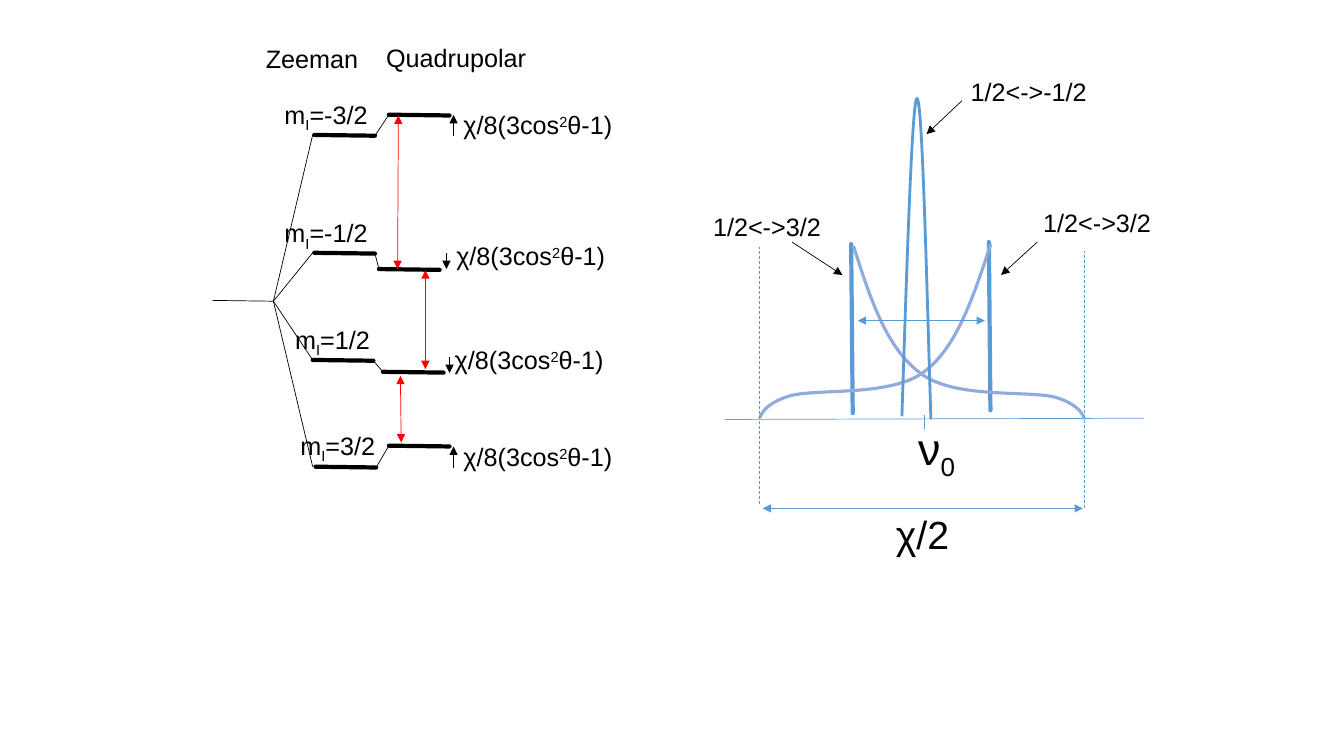
from pptx import Presentation
from pptx.dml.color import RGBColor
from pptx.enum.dml import MSO_LINE
from pptx.enum.shapes import MSO_CONNECTOR
from pptx.enum.text import MSO_AUTO_SIZE
from pptx.oxml.ns import qn
from pptx.util import Cm, Pt
from lxml.etree import SubElement

BLACK, RED, BLUE, PALE_BLUE = "000000", "FF0000", "5B9BD5", "8FAADC"
ORIGIN = (6.89, 7.59)       # where the unsplit level fans out
BAR_LENGTH, BAR_DROP = 1.53, 0.02

# spin, label position, Zeeman bar start, quadrupolar bar start, shift arrow, shift text position
LEVELS = [
    ("-3/2", (6.92, 2.38), (7.92, 3.4), (9.8, 2.89), (11.43, 3.43, 2.9), (11.43, 2.64)),
    ("-1/2", (6.92, 5.36), (7.92, 6.37), (9.55, 6.78), (11.25, 6.38, 6.78), (11.25, 5.94)),
    ("1/2", (7.19, 8.05), (7.88, 9.07), (9.65, 9.37), (11.33, 8.99, 9.4), (11.21, 8.56)),
    ("3/2", (7.32, 10.72), (7.95, 11.76), (9.8, 11.23), (11.43, 11.79, 11.25), (11.43, 11)),
]
TRANSITIONS = [
    ((10.02, 6.78), (10.04, 2.91)),
    ((10.72, 9.3), (10.72, 6.81)),
    ((10.11, 11.15), (10.09, 9.47)),
]
# Bezier chains: a start point, then three points for each segment
POWDER_CURVES = [
    [(21.51, 6.2), (21.92, 7.49), (22.33, 8.76), (23.19, 9.4), (24.03, 10.06),
     (25.88, 9.83), (26.59, 10.01), (27.28, 10.21), (27.33, 10.57), (27.33, 10.57)],
    [(24.97, 6.15), (24.54, 7.44), (24.13, 8.74), (23.29, 9.37), (22.45, 10.01),
     (20.57, 9.78), (19.89, 9.98), (19.2, 10.19), (19.15, 10.54), (19.15, 10.54)],
]
CENTRAL_PEAK = [(22.73, 10.49), (22.86, 6.48), (22.99, 2.48), (23.11, 2.48),
                (23.24, 2.48), (23.34, 6.53), (23.46, 10.57)]
# text, text position, arrow start, arrow tip
PEAK_LABELS = [
    ("1/2<->3/2", (26.04, 5.11), (26.14, 6.1), (25.23, 6.93)),
    ("1/2<->3/2", (17.72, 5.21), (19.96, 6.1), (21.23, 6.93)),
    ("1/2<->-1/2", (24.21, 1.79), (24.24, 2.54), (23.35, 3.38)),
]


def rgb(hex_string):
    return RGBColor.from_string(hex_string)


def add_line(group, start, end, color=BLACK, width=0.5, arrows=(), dashed=False):
    """Draw a straight line; arrows may hold "headEnd" and "tailEnd", in that order."""
    line = group.shapes.add_connector(
        MSO_CONNECTOR.STRAIGHT, *(Cm(value) for value in start + end))
    line.line.color.rgb = rgb(color)
    line.line.width = Pt(width)
    if dashed:
        line.line.dash_style = MSO_LINE.DASH
    properties = line._element.spPr
    outline = properties.find(qn("a:ln"))
    if width >= 3:
        outline.set("cap", "rnd")
    for end_tag in arrows:
        SubElement(outline, qn("a:" + end_tag), type="triangle")
    SubElement(properties, qn("a:effectLst"))


def add_arrow(group, start, tip):
    add_line(group, start, tip, arrows=("tailEnd",))


def add_span(group, start, end, color):
    add_line(group, start, end, color, arrows=("headEnd", "tailEnd"))


def add_label(group, position, width, parts, size=18, height=1.02, wrap=False):
    """Write (text, baseline percent) parts as one line."""
    label = group.shapes.add_textbox(
        Cm(position[0]), Cm(position[1]), Cm(width), Cm(height))
    frame = label.text_frame
    frame.word_wrap = wrap
    frame.auto_size = MSO_AUTO_SIZE.SHAPE_TO_FIT_TEXT
    paragraph = frame.paragraphs[0]
    paragraph.font.name = "Arial"
    paragraph.font.size = Pt(size)
    paragraph.font.color.rgb = rgb(BLACK)
    for text, baseline in parts:
        run = paragraph.add_run()
        run.text = text
        if baseline:
            run.font._element.set("baseline", str(baseline * 1000))


def add_curve(group, chain, color, width):
    """Lay out the chain as a polyline, then turn every three segments into one Bezier."""
    start, *points = [(Cm(x), Cm(y)) for x, y in chain]
    builder = group.shapes.build_freeform(*start)
    builder.add_line_segments(points, close=False)
    curve = builder.convert_to_shape()
    outline = next(curve._element.iter(qn("a:path")))
    segments = outline.findall(qn("a:lnTo"))
    for first in range(0, len(segments), 3):
        bezier = SubElement(outline, qn("a:cubicBezTo"))
        for segment in segments[first:first + 3]:
            bezier.append(segment[0])
            outline.remove(segment)
    curve.shadow.inherit = False
    curve.fill.background()
    curve.line.color.rgb = rgb(color)
    curve.line.width = Pt(width)


def add_level(group, spin, label_at, zeeman, quadrupolar, shift, term_at):
    zeeman_end, quadrupolar_end = (
        (x + BAR_LENGTH, y + BAR_DROP) for x, y in (zeeman, quadrupolar))
    add_line(group, ORIGIN, (7.88, zeeman[1]))
    add_line(group, zeeman, zeeman_end, width=3)
    add_line(group, zeeman_end, quadrupolar)
    add_line(group, quadrupolar, quadrupolar_end, width=3)
    add_label(group, label_at, 2.64 if spin.startswith("-") else 2.44,
              [("m", 0), ("I", -25), ("=" + spin, 0)])
    shift_x, shift_start, shift_tip = shift
    add_arrow(group, (shift_x, shift_start), (shift_x, shift_tip))
    add_label(group, term_at, 4.32, [("χ/8(3cos", 0), ("2", 30), ("θ-1)", 0)])


def add_energy_levels(group):
    add_line(group, (5.36, 7.57), ORIGIN)
    for level in LEVELS:
        add_level(group, *level)
    add_label(group, (6.45, 0.97), 2.87, [("Zeeman", 0)])
    add_label(group, (9.48, 0.95), 4.06, [("Quadrupolar", 0)])
    for bottom, top in TRANSITIONS:
        add_span(group, bottom, top, RED)


def add_spectrum(group):
    # Frequency axis with its centre mark
    add_line(group, (18.26, 10.57), (28.83, 10.54), BLUE)
    add_line(group, (23.29, 10.46), (23.29, 10.82), BLUE)
    add_label(group, (22.89, 10.47), 3.61, [("ν", 0), ("0", -25)], 32, 1.63, True)

    # Satellite edges and line shapes
    add_line(group, (21.45, 6.15), (21.49, 10.41), BLUE, 3)
    add_line(group, (24.92, 6.1), (24.96, 10.34), BLUE, 3)
    for chain in POWDER_CURVES:
        add_curve(group, chain, PALE_BLUE, 2.25)
    add_curve(group, CENTRAL_PEAK, BLUE, 2)

    # Splitting widths
    add_span(group, (24.82, 8.08), (21.62, 8.08), BLUE)
    add_span(group, (27.29, 12.81), (19.22, 12.81), BLUE)
    add_line(group, (27.33, 12.8), (27.33, 6.32), BLUE, dashed=True)
    add_line(group, (19.13, 12.7), (19.13, 6.22), BLUE, dashed=True)
    add_label(group, (22.33, 12.74), 1.91, [("χ/2", 0)], 28, 1.45)

    # Transition names
    for text, position, start, tip in PEAK_LABELS:
        add_arrow(group, start, tip)
        add_label(group, position, 3.63, [(text, 0)], wrap=True)


def main():
    presentation = Presentation()
    presentation.slide_width, presentation.slide_height = Cm(33.87), Cm(19.05)
    slide = presentation.slides.add_slide(presentation.slide_layouts[6])
    diagram = slide.shapes.add_group_shape()
    add_energy_levels(diagram)
    add_spectrum(diagram)
    presentation.save("out.pptx")


if __name__ == "__main__":
    main()
